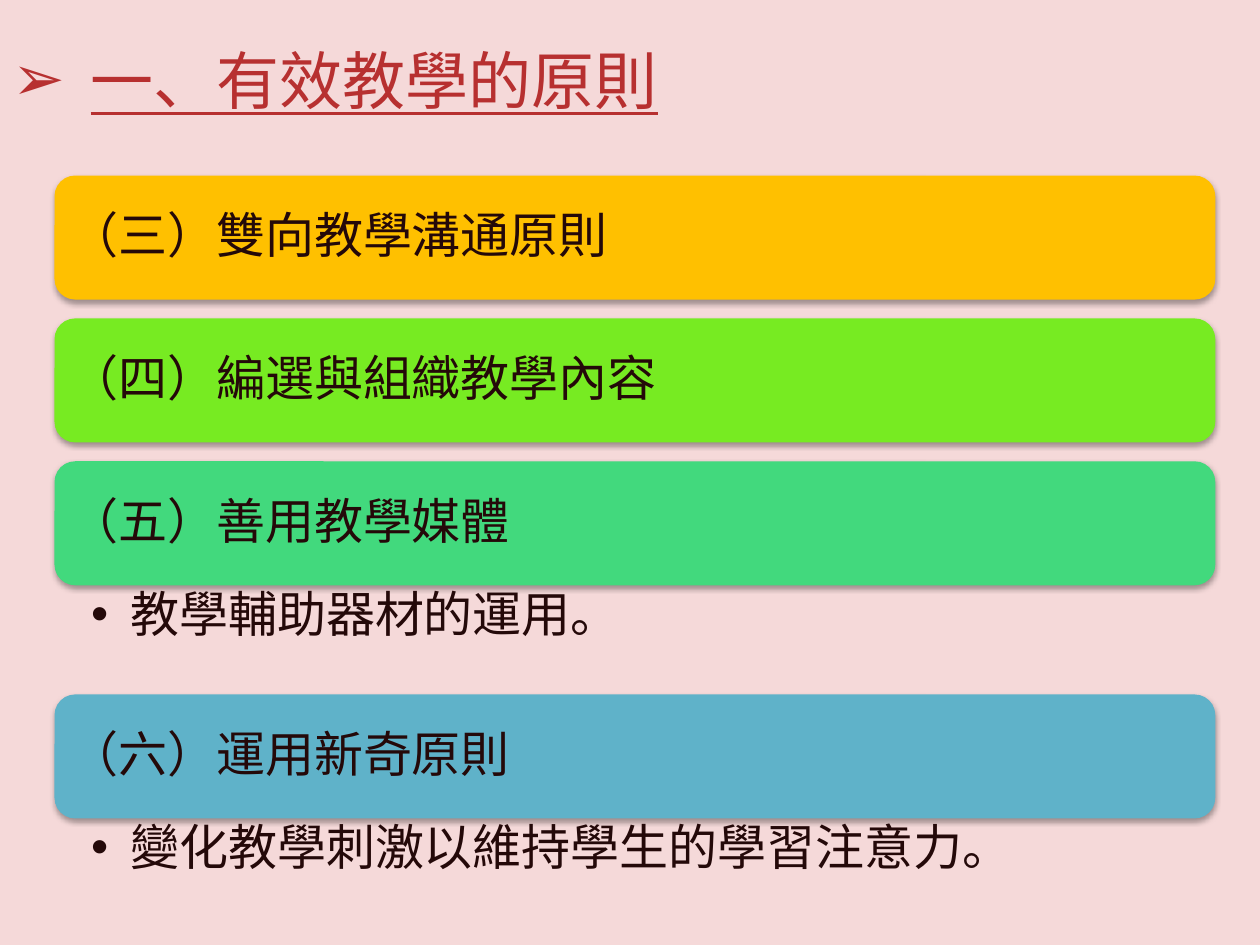
from lxml.etree import SubElement as Sub
from pptx import Presentation
from pptx.dml.color import RGBColor as RGB
from pptx.enum.shapes import MSO_SHAPE as Shape
from pptx.enum.text import MSO_ANCHOR as Anchor, PP_ALIGN as Align
from pptx.oxml.ns import qn
from pptx.util import Cm, Pt

FONT = "Noto Sans CJK SC"
PINK = RGB(0xF5, 0xD9, 0xD9)
RED = RGB(0xB7, 0x30, 0x30)
DARK = RGB(0x24, 0x09, 0x09)
GOLD = RGB(0xFF, 0xC0, 0x00)
LIME = RGB(0x77, 0xEB, 0x22)
GREEN = RGB(0x42, 0xD9, 0x7D)
BLUE = RGB(0x5F, 0xB2, 0xC9)

BAR_H, NOTE_H, GAP = 2.5, 2.2, 0.38
ITEMS = [
    ("（三）雙向教學溝通原則", GOLD, None),
    ("（四）編選與組織教學內容", LIME, None),
    ("（五）善用教學媒體", GREEN, "教學輔助器材的運用。"),
    ("（六）運用新奇原則", BLUE, "變化教學刺激以維持學生的學習注意力。"),
]


def write(shape, text, size, color, margins, anchor=Anchor.MIDDLE):
    """Fill the shape with one line of text; margins are left, top, right, bottom."""
    frame = shape.text_frame
    frame.word_wrap = True
    frame.vertical_anchor = anchor
    (frame.margin_left, frame.margin_top,
     frame.margin_right, frame.margin_bottom) = map(Cm, margins)
    frame.text = text
    para = frame.paragraphs[0]
    para.alignment = Align.LEFT
    font = para.runs[0].font
    font.name, font.size, font.color.rgb = FONT, Pt(size), color
    Sub(font._element, qn("a:ea"), typeface=FONT)
    return para


def add_bullet(para, char, indent):
    props = para._p.get_or_add_pPr()
    props.set("marL", str(Cm(indent)))
    props.set("indent", str(-Cm(indent)))
    Sub(props, qn("a:buFont"), typeface="Arial")
    Sub(props, qn("a:buChar"), char=char)


def add_shadow(shape):
    shape.shadow.inherit = False
    effects = shape._element.spPr.find(qn("a:effectLst"))
    outer = Sub(effects, qn("a:outerShdw"), blurRad=str(Pt(3.1)),
                dist=str(Pt(1.8)), dir="5400000", rotWithShape="0")
    color = Sub(outer, qn("a:srgbClr"), val="000000")
    Sub(color, qn("a:alpha"), val="35000")


def add_title(slide, left, top, width, height):
    box = slide.shapes.add_textbox(Cm(left), Cm(top), Cm(width), Cm(height))
    para = write(box, "一、有效教學的原則", 36, RED, (0.25, 0.13, 0.25, 0.13))
    para.runs[0].font.underline = True
    add_bullet(para, "➢", 1.58)


def add_bar(slide, left, top, width, text, fill):
    bar = slide.shapes.add_shape(Shape.ROUNDED_RECTANGLE, Cm(left), Cm(top),
                                 Cm(width), Cm(BAR_H))
    bar.fill.solid()
    bar.fill.fore_color.rgb = fill
    bar.line.fill.background()
    add_shadow(bar)
    para = write(bar, text, 28, DARK, (0.18,) * 4)
    para.line_spacing = 0.9


def add_note(slide, left, top, width, text):
    box = slide.shapes.add_textbox(Cm(left), Cm(top), Cm(width), Cm(NOTE_H))
    para = write(box, text, 28, DARK, (0.74, 0.1, 0.56, 0.1), Anchor.TOP)
    para.line_spacing = 0.9
    add_bullet(para, "•", 0.79)


def add_list(slide, left, top, width):
    """Stack the bars; a note fills the space below its bar in place of the gap."""
    for text, fill, note in ITEMS:
        add_bar(slide, left, top, width, text, fill)
        top += BAR_H
        if note:
            add_note(slide, left, top, width, note)
        top += NOTE_H if note else GAP


def main():
    deck = Presentation()
    deck.slide_width, deck.slide_height = Cm(25.4), Cm(19.05)
    slide = deck.slides.add_slide(deck.slide_layouts[6])
    slide.background.fill.solid()
    slide.background.fill.fore_color.rgb = PINK
    add_title(slide, 0, 0, 19.96, 3.18)
    add_list(slide, 1.1, 3.54, 23.4)
    deck.save("out.pptx")


if __name__ == "__main__":
    main()
